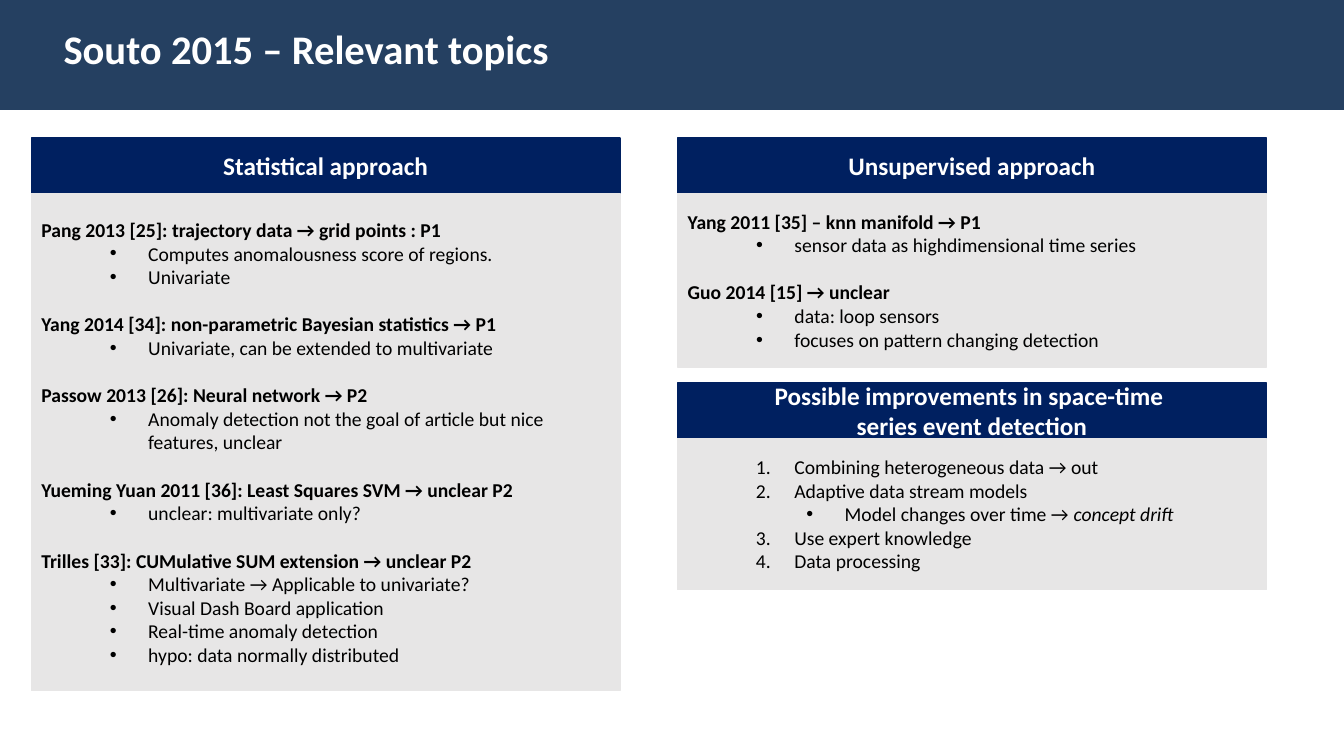
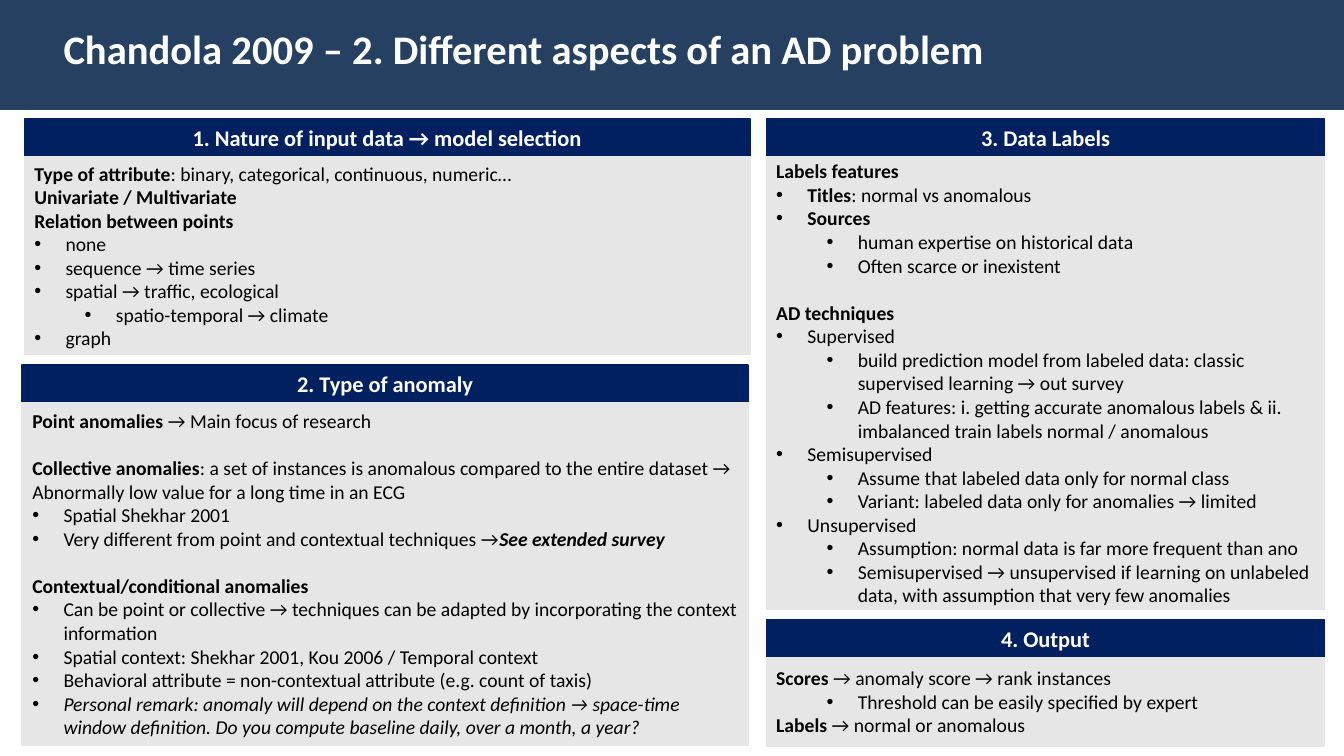
from dataclasses import dataclass
from typing import NamedTuple

from lxml.etree import SubElement
from pptx import Presentation
from pptx.dml.color import RGBColor
from pptx.enum.shapes import MSO_SHAPE
from pptx.enum.text import MSO_ANCHOR, MSO_AUTO_SIZE, PP_ALIGN
from pptx.oxml.ns import qn
from pptx.util import Pt

EMU_PER_PX = 9144
SLIDE_WIDTH, SLIDE_HEIGHT = 1333, 750
BAND_HEIGHT = 108
COMPARISON_LAYOUT = 4

BAND_BLUE = RGBColor(0x25, 0x40, 0x61)
HEAD_NAVY = RGBColor(0x00, 0x20, 0x60)
PANEL_GREY = RGBColor(0xE7, 0xE6, 0xE6)
WHITE = RGBColor(0xFF, 0xFF, 0xFF)
BLACK = RGBColor(0x00, 0x00, 0x00)

FONT = "Calibri"
TITLE_SIZE, LIST_SIZE = 29, 14
BLANK_LINE = 17  # points, one line of list text


class Run(NamedTuple):
    text: str
    bold: bool = False
    italic: bool = False


@dataclass(frozen=True)
class Mark:
    """Level, text indent and hanging width (px) of a list line."""
    level: int = 0
    indent: int = 0
    hang: int = 0
    numbered: bool = False


@dataclass(frozen=True)
class Line:
    runs: tuple[Run, ...]
    mark: Mark = Mark()
    gap: int = 0


@dataclass(frozen=True)
class Panel:
    heading: tuple[str, ...]
    left: int
    top: int
    width: int
    body_height: int
    lines: list[Line]


@dataclass(frozen=True)
class Page:
    title: str
    head_height: int
    head_size: int
    panels: list[Panel]


PLAIN = Mark()
DEEP = Mark(2, 106, 38)
DEEPER = Mark(3, 156, 38)
NUMBER = Mark(2, 106, 38, numbered=True)
BULLET = Mark(0, 31, 31)
SUB = Mark(1, 81, 31)


def px(length: int) -> int:
    return length * EMU_PER_PX


def topic(text: str, rest: str = "", gap: int = 0) -> Line:
    """A bold lead-in, with an optional regular ending."""
    return Line((Run(text, bold=True),) + ((Run(rest),) if rest else ()), gap=gap)


def items(mark: Mark, *texts: str) -> list[Line]:
    return [Line((Run(text),), mark) for text in texts]


def write_text(shape, lines: list[Line], *, size: int, color: RGBColor,
               align=PP_ALIGN.LEFT, anchor=MSO_ANCHOR.MIDDLE) -> None:
    frame = shape.text_frame
    frame.word_wrap = True
    frame.auto_size = MSO_AUTO_SIZE.NONE
    frame.vertical_anchor = anchor
    for number, line in enumerate(lines):
        paragraph = frame.add_paragraph() if number else frame.paragraphs[0]
        paragraph.alignment = align
        paragraph.level = line.mark.level
        paragraph.space_before, paragraph.space_after = Pt(line.gap), Pt(0)
        set_mark(paragraph, line.mark)
        for part in line.runs:
            run = paragraph.add_run()
            run.text = part.text
            run.font.name, run.font.size = FONT, Pt(size)
            run.font.bold, run.font.italic = part.bold, part.italic
            run.font.color.rgb = color


def set_mark(paragraph, mark: Mark) -> None:
    properties = paragraph._p.get_or_add_pPr()
    properties.set("marL", str(px(mark.indent)))
    properties.set("indent", str(-px(mark.hang)))
    if mark.numbered:
        SubElement(properties, qn("a:buAutoNum"), type="arabicPeriod")
    elif mark.hang:
        SubElement(properties, qn("a:buFont"), typeface="Arial")
        SubElement(properties, qn("a:buChar"), char="•")
    else:
        SubElement(properties, qn("a:buNone"))


def place(shape, left: int, top: int, width: int, height: int, color: RGBColor) -> None:
    shape.left, shape.top = px(left), px(top)
    shape.width, shape.height = px(width), px(height)
    shape.fill.solid()
    shape.fill.fore_color.rgb = color
    shape.line.color.rgb = color
    shape.line.width = Pt(1)


def draw_title(slide, title: str) -> None:
    band = slide.shapes.title
    place(band, 0, 0, SLIDE_WIDTH, BAND_HEIGHT, BAND_BLUE)
    band.text_frame.margin_left = px(63)
    band.text_frame.margin_top = px(24)
    write_text(band, [topic(title)], size=TITLE_SIZE, color=WHITE, anchor=MSO_ANCHOR.TOP)


def draw_panel(slide, panel: Panel, page: Page, free_placeholders: list) -> None:
    """Fill the layout's placeholders first, then add rectangles."""
    def next_box():
        if free_placeholders:
            return free_placeholders.pop(0)
        box = slide.shapes.add_shape(MSO_SHAPE.RECTANGLE, 0, 0, px(1), px(1))
        box.shadow.inherit = False
        return box

    head, body = next_box(), next_box()
    place(head, panel.left, panel.top, panel.width, page.head_height, HEAD_NAVY)
    write_text(head, [topic(text) for text in panel.heading],
               size=page.head_size, color=WHITE, align=PP_ALIGN.CENTER)
    place(body, panel.left, panel.top + page.head_height, panel.width,
          panel.body_height, PANEL_GREY)
    write_text(body, panel.lines, size=LIST_SIZE, color=BLACK)


def draw_page(deck, page: Page) -> None:
    slide = deck.slides.add_slide(deck.slide_layouts[COMPARISON_LAYOUT])
    draw_title(slide, page.title)
    free_placeholders = list(slide.placeholders)[1:]
    for panel in page.panels:
        draw_panel(slide, panel, page, free_placeholders)


RELEVANT_TOPICS = Page("Souto 2015 – Relevant topics", 55, 18, [
    Panel(("Statistical approach",), 31, 137, 584, 493, [
        topic("Pang 2013 [25]: trajectory data → grid points : P1"),
        *items(DEEP, "Computes anomalousness score of regions.", "Univariate"),
        topic("Yang 2014 [34]: non-parametric Bayesian statistics → P1", gap=BLANK_LINE),
        *items(DEEP, "Univariate, can be extended to multivariate"),
        topic("Passow 2013 [26]: Neural network → P2", gap=BLANK_LINE),
        *items(DEEP, "Anomaly detection not the goal of article but nice features, unclear"),
        topic("Yueming Yuan 2011 [36]: Least Squares SVM → unclear P2", gap=BLANK_LINE),
        *items(DEEP, "unclear: multivariate only?"),
        topic("Trilles [33]: CUMulative SUM extension → unclear P2", gap=BLANK_LINE),
        *items(DEEP, "Multivariate → Applicable to univariate?", "Visual Dash Board application",
               "Real-time anomaly detection", "hypo: data normally distributed"),
    ]),
    Panel(("Unsupervised approach",), 672, 137, 584, 172, [
        topic("Yang 2011 [35] – knn manifold → P1"),
        *items(DEEP, "sensor data as highdimensional time series"),
        topic("Guo 2014 [15] → unclear", gap=BLANK_LINE),
        *items(DEEP, "data: loop sensors", "focuses on pattern changing detection"),
    ]),
    Panel(("Possible improvements in space-time ", "series event detection"),
          672, 380, 584, 150, [
        *items(NUMBER, "Combining heterogeneous data → out", "Adaptive data stream models"),
        Line((Run("Model changes over time → "), Run("concept drift", italic=True)), DEEPER),
        *items(NUMBER, "Use expert knowledge", "Data processing"),
    ]),
])

PROBLEM_ASPECTS = Page("Chandola 2009 – 2. Different aspects of an AD problem", 37, 16, [
    Panel(("1. Nature of input data → model selection",), 24, 118, 720, 197, [
        topic("Type of attribute", ": binary, categorical, continuous, numeric…"),
        topic("Univariate / Multivariate"),
        topic("Relation between points"),
        *items(BULLET, "none", "sequence → time series", "spatial → traffic, ecological"),
        *items(SUB, "spatio-temporal → climate"),
        *items(BULLET, "graph"),
    ]),
    Panel(("2. Type of anomaly",), 22, 362, 720, 340, [
        topic("Point anomalies ", "→ Main focus of research"),
        topic("Collective anomalies",
              ": a set of instances is anomalous compared to the entire dataset → "
              "Abnormally low value for a long time in an ECG", gap=BLANK_LINE),
        *items(BULLET, "Spatial Shekhar 2001"),
        Line((Run("Very different from point and contextual techniques →"),
              Run("See extended survey", bold=True, italic=True)), BULLET),
        topic("Contextual/conditional anomalies", gap=BLANK_LINE),
        *items(BULLET,
               "Can be point or collective → techniques can be adapted by incorporating "
               "the context information",
               "Spatial context: Shekhar 2001, Kou 2006 / Temporal context",
               "Behavioral attribute = non-contextual attribute (e.g. count of taxis)"),
        Line((Run("Personal remark: anomaly will depend on the context definition → space-time "
                  "window definition. Do you compute baseline daily, over a month, a year?",
                  italic=True),), BULLET),
    ]),
    Panel(("3. Data Labels",), 760, 118, 554, 450, [
        topic("Labels features"),
        Line((Run("Titles", bold=True), Run(": normal vs anomalous")), BULLET),
        Line((Run("Sources", bold=True),), BULLET),
        *items(SUB, "human expertise on historical data", "Often scarce or inexistent"),
        topic("AD techniques", gap=BLANK_LINE),
        *items(BULLET, "Supervised"),
        *items(SUB,
               "build prediction model from labeled data: classic supervised learning → out survey",
               "AD features: i. getting accurate anomalous labels & ii. "
               "imbalanced train labels normal / anomalous"),
        *items(BULLET, "Semisupervised"),
        *items(SUB, "Assume that labeled data only for normal class",
               "Variant: labeled data only for anomalies → limited"),
        *items(BULLET, "Unsupervised"),
        *items(SUB, "Assumption: normal data is far more frequent than ano",
               "Semisupervised → unsupervised if learning on unlabeled data, "
               "with assumption that very few anomalies"),
    ]),
    Panel(("4. Output",), 760, 615, 554, 88, [
        topic("Scores ", "→ anomaly score → rank instances"),
        *items(SUB, "Threshold can be easily specified by expert"),
        topic("Labels ", "→ normal or anomalous"),
    ]),
])


def main() -> None:
    deck = Presentation()
    deck.slide_width, deck.slide_height = px(SLIDE_WIDTH), px(SLIDE_HEIGHT)
    for page in (RELEVANT_TOPICS, PROBLEM_ASPECTS):
        draw_page(deck, page)
    deck.save("out.pptx")


if __name__ == "__main__":
    main()
